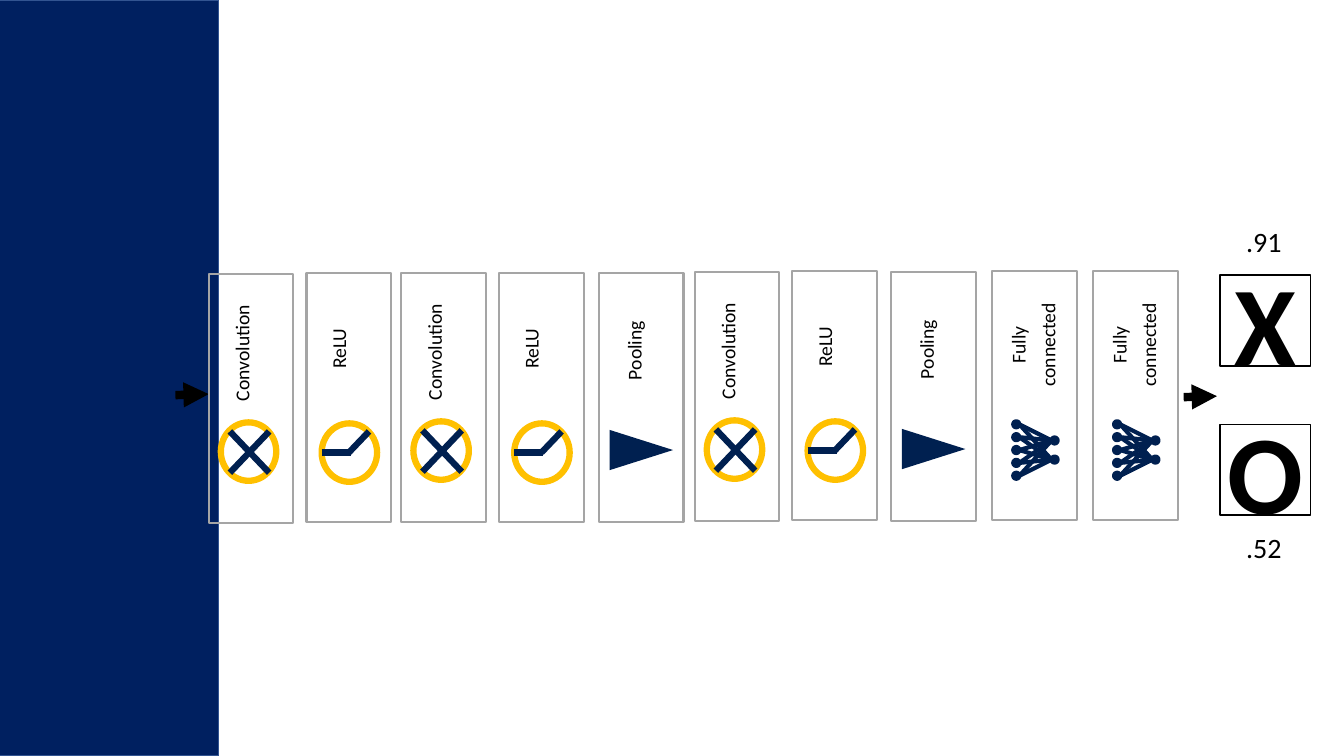
from lxml import etree
from pptx import Presentation
from pptx import util as u
from pptx.dml.color import RGBColor
from pptx.enum import shapes, text
from pptx.oxml.ns import qn

PANEL = RGBColor(0x00, 0x20, 0x60)
PANEL_EDGE = RGBColor(0x32, 0x54, 0x91)
NAVY = RGBColor(0x00, 0x20, 0x50)
GOLD = RGBColor(0xFF, 0xC0, 0x00)
GRAY = RGBColor(0xA5, 0xA5, 0xA5)
BLACK = RGBColor(0, 0, 0)
WHITE = RGBColor(0xFF, 0xFF, 0xFF)
RECT, OVAL = shapes.MSO_SHAPE.RECTANGLE, shapes.MSO_SHAPE.OVAL
TRIANGLE = shapes.MSO_SHAPE.ISOSCELES_TRIANGLE
STRAIGHT = shapes.MSO_CONNECTOR.STRAIGHT

COLS, ROWS = 13.33, 7.5
CELL = u.Inches(1)
FRAME_W, FRAME_H = 0.84, 2.47


def draw(parent, kind, box, fill=None, line=None, weight=1, arrow=False):
    """Box is left, top, width, height; for a connector, begin and end points."""
    box = [round(n * CELL) for n in box]
    if kind is STRAIGHT:  # equal in value to RECT, so compare identity
        sp = parent.shapes.add_connector(kind, *box)
    else:
        sp = parent.shapes.add_shape(kind, *box)
        sp.shadow.inherit = False
        if fill is None:
            sp.fill.background()
        else:
            sp.fill.solid()
            sp.fill.fore_color.rgb = fill
    if line is None:
        sp.line.fill.background()
    else:
        sp.line.color.rgb = line
        sp.line.width = u.Pt(weight)
    if kind is STRAIGHT:
        props = sp.element.spPr
        if arrow:
            etree.SubElement(props.find(qn("a:ln")), qn("a:tailEnd"), type="triangle")
        etree.SubElement(props, qn("a:effectLst"))
    return sp


def write(sp, content, size=14, bold=False, align=None, spacing=0.9, after=6,
          insets=(0.2, 0.16), wrap=False, anchor=text.MSO_ANCHOR.TOP):
    tf = sp.text_frame
    tf.word_wrap = wrap
    tf.auto_size = text.MSO_AUTO_SIZE.NONE if wrap else text.MSO_AUTO_SIZE.SHAPE_TO_FIT_TEXT
    tf.vertical_anchor = anchor
    tf.margin_left = tf.margin_right = u.Inches(insets[0])
    tf.margin_top = tf.margin_bottom = u.Inches(insets[1])
    for i, words in enumerate(content.split("\n")):
        p = tf.add_paragraph() if i else tf.paragraphs[0]
        p.alignment = align
        p.line_spacing = spacing
        p.space_after = u.Pt(after)
        r = p.add_run()
        r.text = words
        r.font.name, r.font.size, r.font.bold = "Calibri", u.Pt(size), bold
        r.font.color.rgb = BLACK


prs = Presentation()
prs.slide_width, prs.slide_height = round(COLS * CELL), round(ROWS * CELL)
s = prs.slides.add_slide(prs.slide_layouts[6])

draw(s, RECT, (-0.16, 0, 2.33, ROWS), PANEL, PANEL_EDGE)
draw(s, STRAIGHT, (1.74, 3.92, 2.07, 3.91), line=BLACK, weight=6, arrow=True)

# Label width, height and centre offset from the frame's left edge
LABELS = {
    "Convolution": (1.46, 0.54, 0.4),
    "ReLU": (0.84, 0.54, 0.39),
    "Pooling": (1.06, 0.54, 0.42),
    "Fully\nconnected": (1.31, 0.83, 0.42),
}
LAYERS = [
    ("Convolution", 2.07, 2.72), ("ReLU", 3.04, 2.71),
    ("Convolution", 3.98, 2.71), ("ReLU", 4.95, 2.71), ("Pooling", 5.94, 2.71),
    ("Convolution", 6.89, 2.7), ("ReLU", 7.86, 2.69), ("Pooling", 8.84, 2.7),
    ("Fully\nconnected", 9.84, 2.69), ("Fully\nconnected", 10.84, 2.69),
]
DOT = 0.06

for name, x, y in LAYERS:
    if name == "Pooling":
        draw(s, TRIANGLE, (x + 0.22, y + 1.44, 0.4, 0.63), NAVY).rotation = 90
    else:
        icon = s.shapes.add_group_shape()
        if name == "Convolution":
            ring = (x + 0.12, y + 1.47)
            strokes = [(0.21, 1.56, 0.6, 1.97), (0.6, 1.56, 0.21, 1.97)]
        elif name == "ReLU":
            ring = (x + 0.15, y + 1.49)
            strokes = [(0.15, 1.78, 0.44, 1.78), (0.42, 1.78, 0.62, 1.57)]
        else:
            ring = None
            inputs = [1.52 + 0.51 * i / 4 for i in range(5)]
            outputs = [1.68, 1.87]
            strokes = [(0.27, a, 0.59, b) for a in inputs for b in outputs]
            for left, centres in ((0.21, inputs), (0.59, outputs)):
                for c in centres:
                    draw(icon, OVAL, (x + left, y + c - DOT / 2, DOT, DOT), NAVY, NAVY, 3)
        if ring:
            draw(icon, OVAL, (*ring, 0.55, 0.58), line=GOLD, weight=4.5)
        for x1, y1, x2, y2 in strokes:
            draw(icon, STRAIGHT, (x + x1, y + y1, x + x2, y + y2),
                 line=NAVY, weight=4.5 if ring else 3)
    draw(s, RECT, (x, y, FRAME_W, FRAME_H), line=GRAY, weight=1.5)

    w, h, centre = LABELS[name]
    label = s.shapes.add_textbox(*(round(n * CELL) for n in
                                   (x + centre - w / 2, y + 0.73 - h / 2, w, h)))
    label.rotation = 270
    write(label, name, align=text.PP_ALIGN.CENTER if "\n" in name else None)

draw(s, STRAIGHT, (11.74, 3.94, 12.07, 3.93), line=BLACK, weight=6, arrow=True)

for letter, top, score, score_top in (("X", 2.73, ".91", 2.11), ("O", 4.21, ".52", 5.15)):
    tile = draw(s, RECT, (12.1, top, 0.9, 0.9), WHITE, BLACK)
    write(tile, letter, size=80, bold=True, align=text.PP_ALIGN.CENTER, spacing=1, after=0,
          insets=(0, 0.05), wrap=True, anchor=text.MSO_ANCHOR.MIDDLE)
    sp = s.shapes.add_textbox(*(round(n * CELL) for n in (12.16, score_top, 0.77, 0.63)))
    write(sp, score, size=20)

prs.save("out.pptx")
